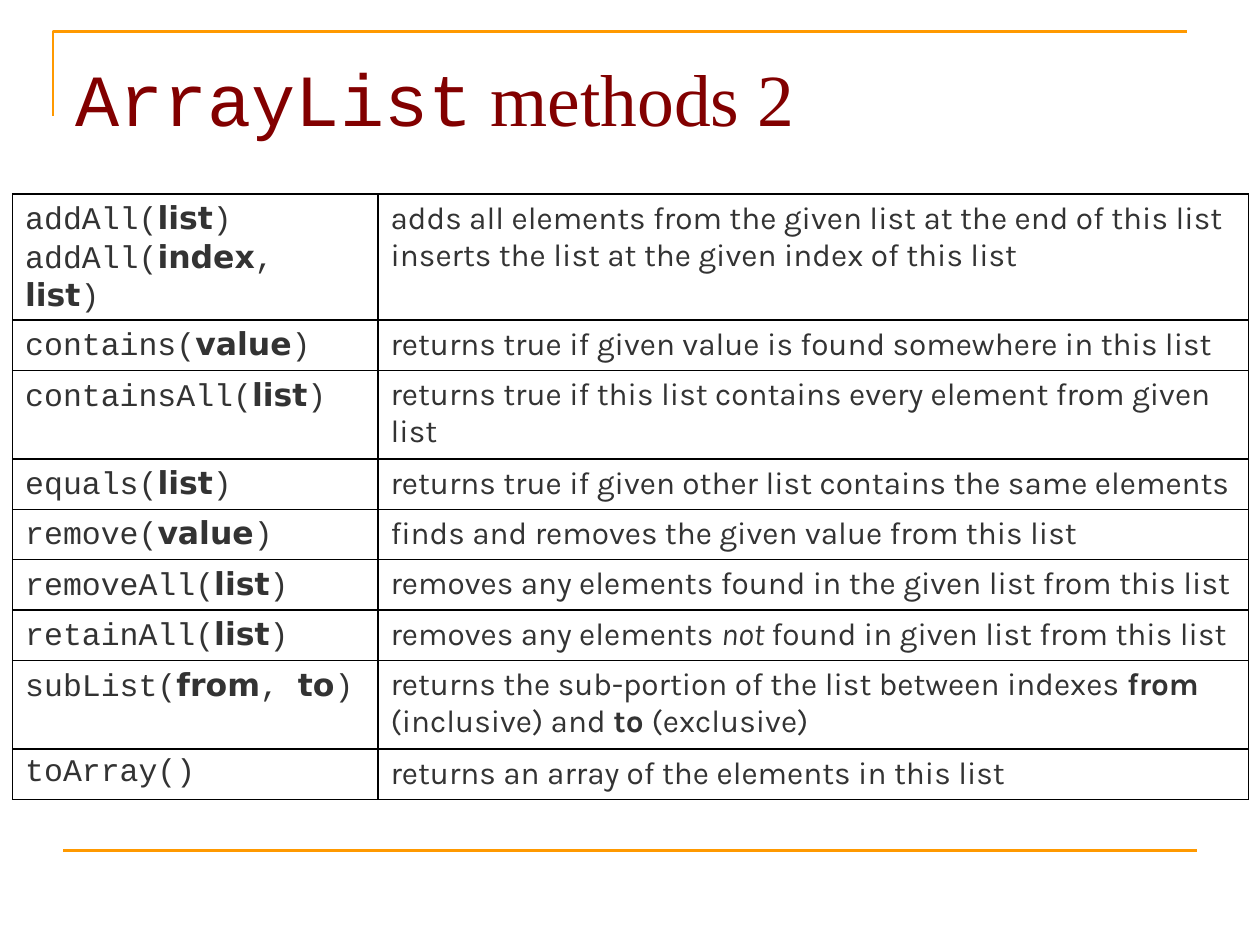
from dataclasses import dataclass

from lxml.etree import SubElement
from pptx import Presentation
from pptx.dml.color import RGBColor
from pptx.enum.shapes import MSO_CONNECTOR as Connector
from pptx.enum.text import MSO_ANCHOR as Anchor
from pptx.oxml.ns import qn
from pptx.util import Inches, Pt

ORANGE = "FF9900"
MAROON = "820000"
GRAY = "333333"
BLACK = "000000"
CODE_FONT = "Courier New"
ARGUMENT_FONT = "DejaVu Sans"
BODY_FONT = "Karla"


@dataclass(frozen=True)
class Span:
    text: str
    font: str = BODY_FONT
    bold: bool = False
    italic: bool = False


@dataclass(frozen=True)
class Method:
    signatures: list[tuple[str, list[str]]]
    description: list[list[Span]]


METHODS = [
    Method(
        [("addAll", ["list"]), ("addAll", ["index", "list"])],
        [
            [Span("adds all elements from the given list at the end of this list")],
            [Span("inserts the list at the given index of this list")],
        ],
    ),
    Method(
        [("contains", ["value"])],
        [[Span("returns true if given value is found somewhere in this list")]],
    ),
    Method(
        [("containsAll", ["list"])],
        [[Span("returns true if this list contains every element from given list")]],
    ),
    Method(
        [("equals", ["list"])],
        [[Span("returns true if given other list contains the same elements")]],
    ),
    Method(
        [("remove", ["value"])],
        [[Span("finds and removes the given value from this list")]],
    ),
    Method(
        [("removeAll", ["list"])],
        [[Span("removes any elements found in the given list from this list")]],
    ),
    Method(
        [("retainAll", ["list"])],
        [[
            Span("removes any elements "),
            Span("not", italic=True),
            Span(" found in given list from this list"),
        ]],
    ),
    Method(
        [("subList", ["from", "to"])],
        [[
            Span("returns the sub-portion of the list between indexes "),
            Span("from ", bold=True),
            Span("(inclusive) and "),
            Span("to ", bold=True),
            Span("(exclusive)"),
        ]],
    ),
    Method(
        [("toArray", [])],
        [[Span("returns an array of the elements in this list")]],
    ),
]


def color(value: str) -> RGBColor:
    return RGBColor.from_string(value)


def add_text(paragraph, text: str, *, font: str, size: float, fill: str,
             bold: bool = False, italic: bool = False) -> None:
    run = paragraph.add_run()
    run.text = text
    run.font.name = font
    run.font.size = Pt(size)
    run.font.bold = bold
    run.font.italic = italic
    run.font.color.rgb = color(fill)


def signature_spans(name: str, arguments: list[str]) -> list[Span]:
    spans = [Span(f"{name}(" if arguments else f"{name}()", CODE_FONT)]
    for position, argument in enumerate(arguments, start=1):
        ending = ")" if position == len(arguments) else ", "
        spans += [Span(argument, ARGUMENT_FONT, bold=True), Span(ending, CODE_FONT)]
    return spans


def add_borders(cell) -> None:
    properties = cell._tc.get_or_add_tcPr()
    for side in ("lnL", "lnR", "lnT", "lnB"):
        line = SubElement(properties, qn(f"a:{side}"), w=str(Pt(1)))
        fill = SubElement(line, qn("a:solidFill"))
        SubElement(fill, qn("a:srgbClr"), val=BLACK)


def fill_cell(cell, lines: list[list[Span]]) -> None:
    add_borders(cell)
    cell.fill.background()
    frame = cell.text_frame
    for position, spans in enumerate(lines):
        paragraph = frame.add_paragraph() if position else frame.paragraphs[0]
        for span in spans:
            add_text(paragraph, span.text, font=span.font, size=18, fill=GRAY,
                     bold=span.bold, italic=span.italic)


def add_frame_lines(slide) -> None:
    builder = slide.shapes.build_freeform(Inches(0.42), Inches(0.92))
    builder.add_line_segments(
        [(Inches(0.42), Inches(0.25)), (Inches(9.42), Inches(0.25))], close=False
    )
    corner = builder.convert_to_shape()
    corner.shadow.inherit = False
    corner.fill.background()
    footer = slide.shapes.add_connector(
        Connector.STRAIGHT, Inches(0.5), Inches(6.75), Inches(9.5), Inches(6.75)
    )
    SubElement(footer._element.spPr, qn("a:effectLst"))
    for shape in (corner, footer):
        shape.line.color.rgb = color(ORANGE)
        shape.line.width = Pt(1.5)


def add_title(slide) -> None:
    title = slide.shapes.add_textbox(Inches(0.5), Inches(0.3), Inches(9), Inches(1.03))
    frame = title.text_frame
    frame.word_wrap = True
    frame.vertical_anchor = Anchor.TOP
    frame.margin_top = Inches(0.12)
    paragraph = frame.paragraphs[0]
    add_text(paragraph, "ArrayList", font=CODE_FONT, size=42, fill=MAROON)
    add_text(paragraph, " methods 2", font="Times New Roman", size=42, fill=MAROON)


def add_method_table(slide, methods: list[Method]) -> None:
    graphic = slide.shapes.add_table(
        len(methods), 2, Inches(0.1), Inches(1.54), Inches(9.82), Inches(4.2)
    )
    table = graphic.table
    table.first_row = False
    table.horz_banding = False
    for column, width in zip(table.columns, (2.9, 6.91)):
        column.width = Inches(width)
    for row, method in zip(table.rows, methods):
        row.height = Inches(0.2)
        signatures = [signature_spans(*signature) for signature in method.signatures]
        fill_cell(row.cells[0], signatures)
        fill_cell(row.cells[1], method.description)
    graphic.height = Inches(4.2)


def main() -> None:
    presentation = Presentation()
    presentation.slide_width = Inches(10)
    presentation.slide_height = Inches(7.5)
    slide = presentation.slides.add_slide(presentation.slide_layouts[6])
    add_frame_lines(slide)
    add_title(slide)
    add_method_table(slide, METHODS)
    presentation.save("out.pptx")


if __name__ == "__main__":
    main()
